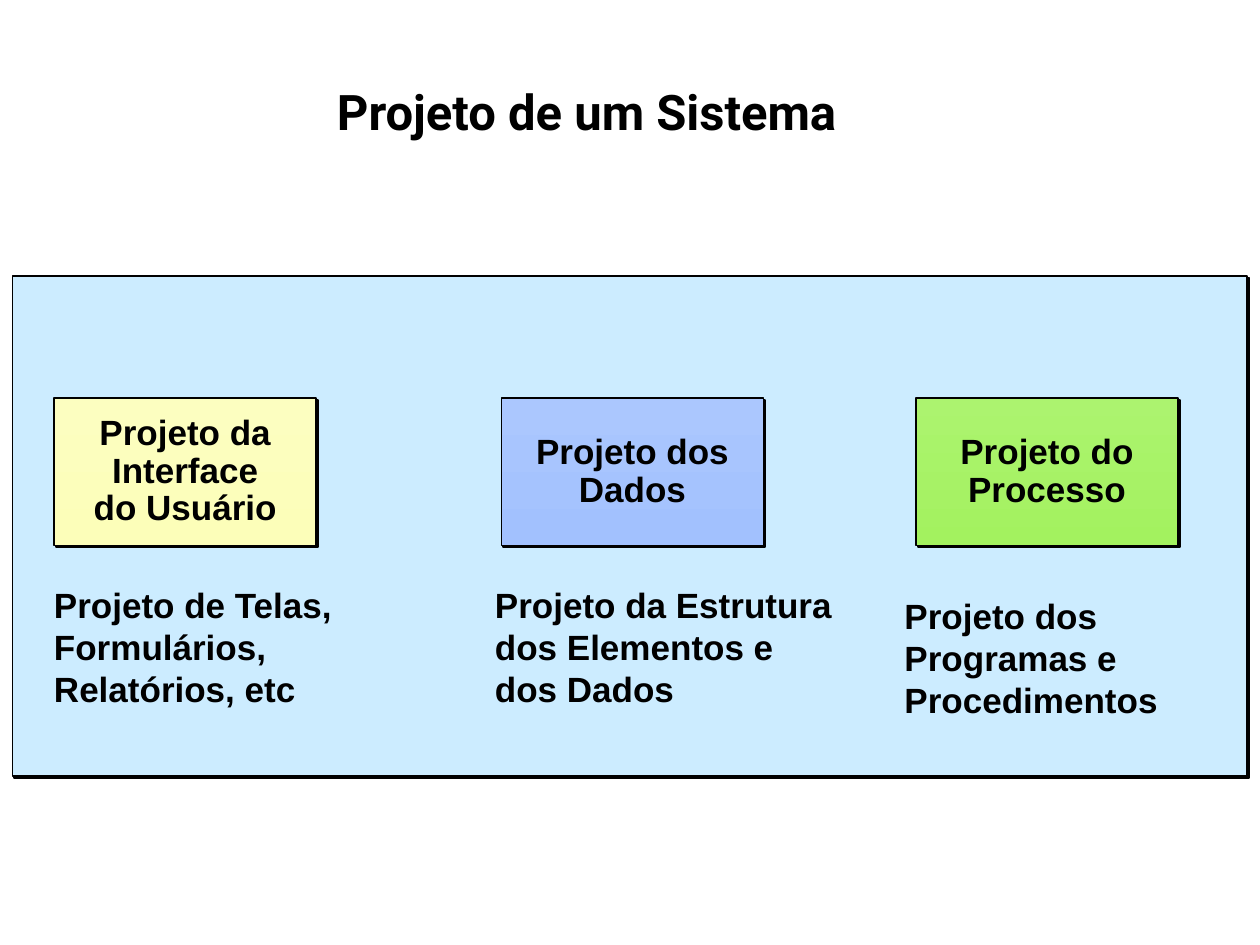
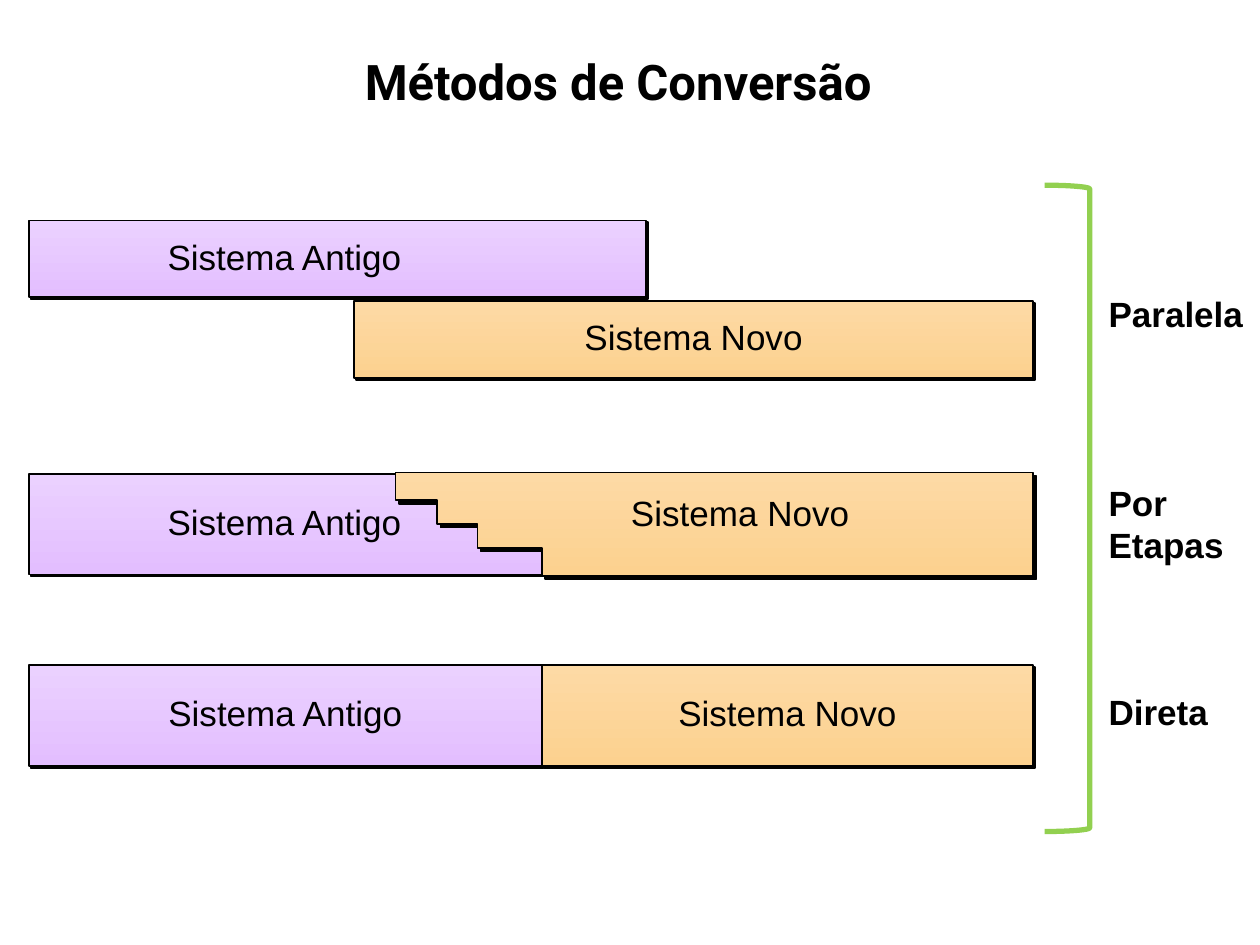
from dataclasses import dataclass

from lxml.etree import SubElement
from pptx import Presentation
from pptx.dml.color import RGBColor as RGB
from pptx.enum.shapes import MSO_SHAPE as SHAPE
from pptx.enum.text import MSO_ANCHOR as ANCHOR, PP_ALIGN as ALIGN
from pptx.oxml.ns import qn
from pptx.util import Inches, Pt


@dataclass(frozen=True)
class Theme:
    ink: str = "000000"
    panel: tuple = ("CCECFF",)
    yellow: tuple = ("FCFEC0", "FCFEB9")
    blue: tuple = ("ABC7FE", "A2C1FE")
    green: tuple = ("ACF36F", "A3F25F")
    old: tuple = ("EBD1FF", "E3BEFF")
    new: tuple = ("FDDAA5", "FCD18F")
    bracket: str = "92D050"
    title_font: str = "Roboto"
    body_font: str = "Arial"
    title_size: int = 28
    body_size: int = 20
    shadow: float = 1.4
    deep_shadow: float = 2.8


T = Theme()

DESIGN_TITLE = ("Projeto de um Sistema", 0.9, 0.6)
PANEL = (0.1, 2.19, 9.8, 3.97)
BOX_TOP, BOX_W, BOX_H = 3.16, 2.08, 1.17
DESIGN_PARTS = [
    (0.43, T.yellow, ["Projeto da", "Interface", "do Usuário"],
     (0.33, 4.58, 2.42), ["Projeto de Telas,", "Formulários,", "Relatórios, etc"]),
    (3.98, T.blue, ["Projeto dos", "Dados"],
     (3.83, 4.58, 3), ["Projeto da Estrutura", "dos Elementos e", "dos Dados"]),
    (7.27, T.green, ["Projeto do", "Processo"],
     (7.08, 4.67, 2.21), ["Projeto dos", "Programas e", "Procedimentos"]),
]

METHODS_TITLE = ("Métodos de Conversão", 1.15, 0.36)
OLD, NEW = ["Sistema Antigo"], ["Sistema Novo"]
OLD_LEFT, NEW_RIGHT, TAB = 0.23, 8.2, 1.1
OLD_BARS = [(1.75, 4.9, 0.61, True), (3.76, 4.1, 0.8, True), (5.28, 4.07, 0.8, False)]
NEW_BARS = [(2.39, 5.39, 0.61), (5.28, 3.9, 0.8)]
STAIR_TOP, STAIR_BOTTOM = 3.75, 4.57
STAIRS = [(3.14, 3.97), (3.47, 4.16), (3.79, 4.35), (4.3, STAIR_BOTTOM)]
STAIR_LABEL = (4.91, 3.85, 1.93)
METHODS_LEFT = 8.7
METHODS = [(2.27, 1.27, ["Paralela"]), (3.77, 1.11, ["Por", "Etapas"]), (5.43, 0.99, ["Direta"])]
BRACKET = (8.29, 1.47, 0.36, 5.13)


def write(sp, lines, size=T.body_size, font=T.body_font, bold=True,
          align=ALIGN.LEFT, spacing=None):
    tf = sp.text_frame
    for i, line in enumerate(lines):
        p = tf.add_paragraph() if i else tf.paragraphs[0]
        p.alignment = align
        if spacing:
            p.line_spacing = spacing
        r = p.add_run()
        r.text = line
        r.font.size, r.font.name, r.font.bold = Pt(size), font, bold
        r.font.color.rgb = RGB.from_string(T.ink)


def title(s, text, x, y):
    sp = s.shapes.add_textbox(*map(Inches, (x, y, 7.51, 0.57)))
    sp.text_frame.word_wrap = True
    write(sp, [text], T.title_size, T.title_font, align=ALIGN.CENTER)


def label(s, x, y, w, lines, bold=True):
    h = 0.1 + 0.335 * len(lines)
    sp = s.shapes.add_textbox(*map(Inches, (x, y, w, h)))
    sp.text_frame.word_wrap = False
    write(sp, lines, bold=bold)


def paint(sp, colors, distance=T.shadow):
    if len(colors) == 1:
        sp.fill.solid()
        sp.fill.fore_color.rgb = RGB.from_string(colors[0])
    else:
        sp.fill.gradient()
        sp.fill.gradient_angle = 270
        for stop, color in zip(sp.fill.gradient_stops, colors):
            stop.color.rgb = RGB.from_string(color)
    sp.line.color.rgb = RGB.from_string(T.ink)
    sp.line.width = Pt(1)
    sp.shadow.inherit = False
    effects = sp._element.spPr.find(qn("a:effectLst"))
    shadow = SubElement(effects, qn("a:outerShdw"), dist=str(int(Pt(distance))),
                        dir="2700000", algn="ctr", rotWithShape="0")
    SubElement(shadow, qn("a:srgbClr"), val=T.ink)


def box(s, x, y, w, h, colors, lines=(), bold=True, indented=False):
    sp = s.shapes.add_shape(SHAPE.RECTANGLE, *map(Inches, (x, y, w, h)))
    paint(sp, colors)
    tf = sp.text_frame
    tf.vertical_anchor = ANCHOR.MIDDLE
    if indented:
        tf.margin_left = Inches(TAB)
    write(sp, lines, bold=bold, align=ALIGN.LEFT if indented else ALIGN.CENTER, spacing=0.9)


def staircase(s):
    points, y = [], STAIR_TOP
    for x, bottom in STAIRS:
        points += [(x, y), (x, bottom)]
        y = bottom
    points += [(NEW_RIGHT, STAIR_BOTTOM)]
    fb = s.shapes.build_freeform(Inches(NEW_RIGHT), Inches(STAIR_TOP))
    fb.add_line_segments([(Inches(x), Inches(y)) for x, y in points], close=True)
    paint(fb.convert_to_shape(), T.new, T.deep_shadow)


def bracket(s):
    sp = s.shapes.add_shape(SHAPE.RIGHT_BRACKET, *map(Inches, BRACKET))
    sp.shadow.inherit = False
    sp.fill.background()
    sp.line.color.rgb = RGB.from_string(T.bracket)
    sp.line.width = Pt(3)


def design_slide(s):
    title(s, *DESIGN_TITLE)
    box(s, *PANEL, T.panel)
    for x, colors, name, place, details in DESIGN_PARTS:
        box(s, x, BOX_TOP, BOX_W, BOX_H, colors, name)
        label(s, *place, details)


def methods_slide(s):
    title(s, *METHODS_TITLE)
    for y, w, h, indented in OLD_BARS:
        box(s, OLD_LEFT, y, w, h, T.old, OLD, False, indented)
    for y, w, h in NEW_BARS:
        box(s, NEW_RIGHT - w, y, w, h, T.new, NEW, False)
    staircase(s)
    label(s, *STAIR_LABEL, NEW, False)
    for y, w, lines in METHODS:
        label(s, METHODS_LEFT, y, w, lines)
    bracket(s)


def main():
    prs = Presentation()
    prs.slide_width, prs.slide_height = Inches(10), Inches(7.5)
    for build in (design_slide, methods_slide):
        build(prs.slides.add_slide(prs.slide_layouts[6]))
    prs.save("out.pptx")


if __name__ == "__main__":
    main()
